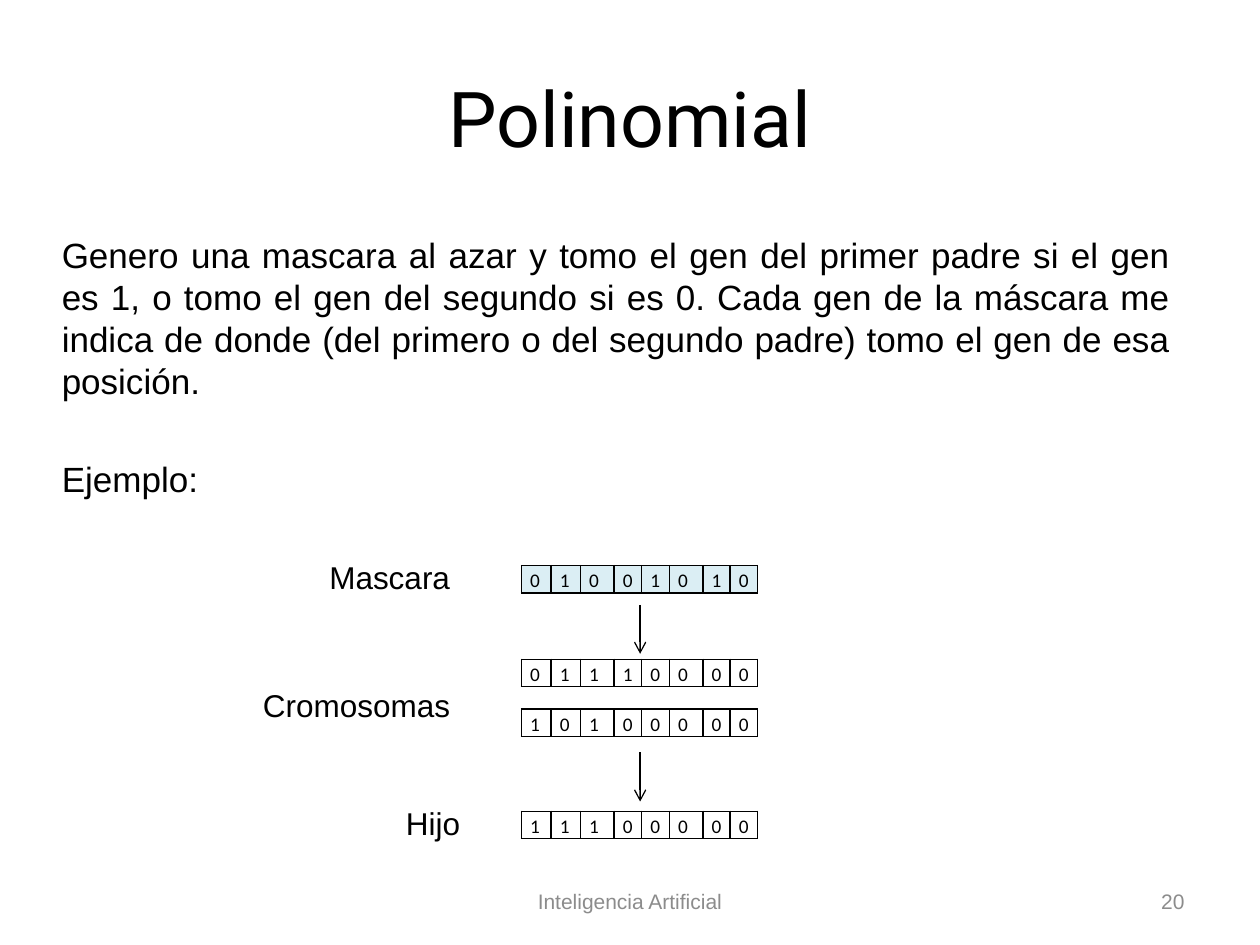
"""Builds the slide on polynomial crossover with a gene mask."""
from lxml import etree
from pptx import Presentation
from pptx.dml.color import RGBColor
from pptx.enum.shapes import MSO_CONNECTOR as CONN
from pptx.enum.text import MSO_ANCHOR as ANCHOR, MSO_AUTO_SIZE as FIT, PP_ALIGN as AL
from pptx.oxml.ns import qn
from pptx.util import Pt

COLORS = {"ink": "000000", "mask": "DBEEF4", "paper": "FFFFFF", "footer": "8C8C8C"}
GENE_WIDTHS = [16.9, 16.8, 19.2, 15.8, 15.8, 19.2, 15.6, 15.6]
GENE_LEFT = 298
ARROW_X = 365.8


def write(p, text, size=18, font="Arial", color="ink", align=AL.LEFT, before=0, spacing=None):
    p.alignment = align
    p.space_before = Pt(before)
    if spacing:
        p.line_spacing = spacing
    r = p.add_run()
    r.text = text
    r.font.size = Pt(size)
    r.font.name = font
    r.font.color.rgb = RGBColor.from_string(COLORS[color])


class Deck:
    def __init__(self):
        self.prs = Presentation()
        self.prs.slide_width, self.prs.slide_height = Pt(720), Pt(540)
        self.s = self.prs.slides.add_slide(self.prs.slide_layouts[1])

    def place(self, sp, x, y, w, h):
        sp.left, sp.top, sp.width, sp.height = Pt(x), Pt(y), Pt(w), Pt(h)
        return sp.text_frame

    def title(self, text, *box):
        tf = self.place(self.s.shapes.title, *box)
        tf.auto_size = FIT.NONE
        tf.vertical_anchor = ANCHOR.MIDDLE
        write(tf.paragraphs[0], text, size=44, font="Roboto", align=AL.CENTER)

    def body(self, items, *box):
        tf = self.place(self.s.placeholders[1], *box)
        tf.auto_size = FIT.NONE
        for i, (text, before) in enumerate(items):
            p = tf.add_paragraph() if i else tf.paragraphs[0]
            write(p, text, size=20, align=AL.JUSTIFY, before=before, spacing=Pt(24))
            pPr = p._p.get_or_add_pPr()
            pPr.set("marL", "0")
            pPr.set("indent", "0")
            etree.SubElement(pPr, qn("a:buNone"))

    def text(self, text, *box, anchor=ANCHOR.TOP, fit=FIT.NONE, **fmt):
        tf = self.s.shapes.add_textbox(*map(Pt, box)).text_frame
        tf.word_wrap = True
        tf.auto_size = fit
        tf.vertical_anchor = anchor
        write(tf.paragraphs[0], text, **fmt)

    def genes(self, bits, y, fill="paper"):
        frame = self.s.shapes.add_table(
            1, len(bits), Pt(GENE_LEFT), Pt(y), Pt(sum(GENE_WIDTHS)), Pt(14))
        table = frame.table
        table.first_row = table.horz_banding = False
        table.rows[0].height = Pt(14)
        for col, width, cell, bit in zip(table.columns, GENE_WIDTHS, table.rows[0].cells, bits):
            col.width = Pt(width)
            cell.margin_left = cell.margin_right = Pt(5)
            cell.margin_top = cell.margin_bottom = 0
            write(cell.text_frame.paragraphs[0], bit, size=11, font="Calibri", spacing=1.15)
            self.borders(cell)
            cell.fill.solid()
            cell.fill.fore_color.rgb = RGBColor.from_string(COLORS[fill])

    def borders(self, cell):
        tcPr = cell._tc.get_or_add_tcPr()
        for side in ("a:lnL", "a:lnR", "a:lnT", "a:lnB"):
            ln = etree.SubElement(tcPr, qn(side), w=str(Pt(1)))
            solid = etree.SubElement(ln, qn("a:solidFill"))
            etree.SubElement(solid, qn("a:srgbClr"), val=COLORS["ink"])

    def arrow(self, x, y, length):
        c = self.s.shapes.add_connector(CONN.STRAIGHT, Pt(x), Pt(y), Pt(x), Pt(y + length))
        c.line.width = Pt(0.75)
        c.line.color.rgb = RGBColor.from_string(COLORS["ink"])
        etree.SubElement(c.line._get_or_add_ln(), qn("a:tailEnd"), type="arrow")
        etree.SubElement(c._element.spPr, qn("a:effectLst"))


deck = Deck()
deck.title("Polinomial", 36, 21.6, 648, 90)
deck.body([
    ("Genero una mascara al azar y tomo el gen del primer padre si el gen es 1, o tomo "
     "el gen del segundo si es 0. Cada gen de la máscara me indica de donde (del primero "
     "o del segundo padre) tomo el gen de esa posición.", 4),
    ("Ejemplo:", 32),
], 28.1, 129.6, 648, 191.5)

for bits, y, fill in [("01001010", 323.2, "mask"), ("01110000", 376.8, "paper"),
                      ("10100000", 405.2, "paper"), ("11100000", 463.6, "paper")]:
    deck.genes(bits, y, fill)

for y in (345.6, 430):
    deck.arrow(ARROW_X, y, 28)

for label, x, y, w in [("Mascara", 152, 315.4, 112.3), ("Cromosomas", 140.4, 388.4, 123.9),
                       ("Hijo", 157.7, 455.8, 112.3)]:
    deck.text(label, x, y, w, 29, fit=FIT.SHAPE_TO_FIT_TEXT, align=AL.RIGHT)

for note, x, w, align in [("Inteligencia Artificial", 246, 228, AL.CENTER),
                          ("20", 516, 168, AL.RIGHT)]:
    deck.text(note, x, 500.5, w, 28.8, anchor=ANCHOR.MIDDLE, size=12, color="footer", align=align)

deck.prs.save("out.pptx")
